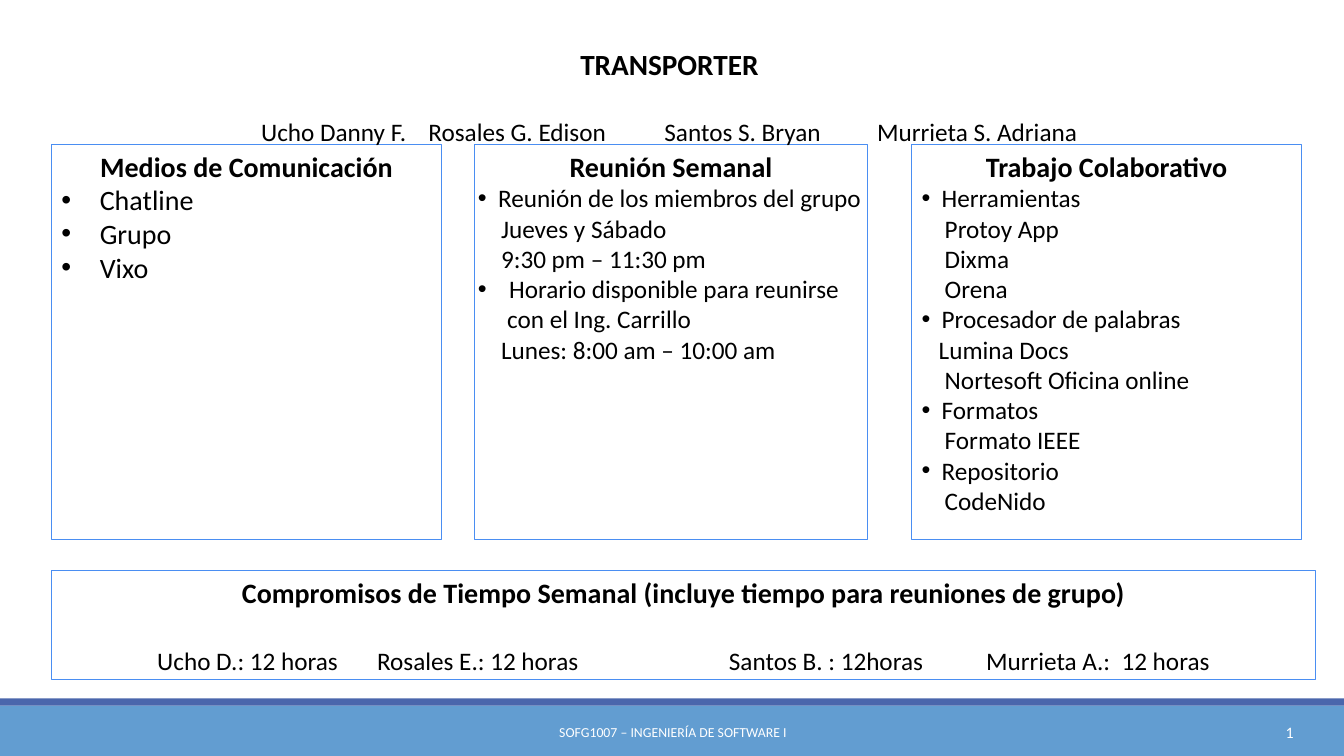
from lxml import etree
from pptx import Presentation
from pptx.dml.color import RGBColor
from pptx.enum import shapes, text
from pptx.oxml.ns import qn
from pptx.util import Inches, Pt

BLACK = RGBColor(0x00, 0x00, 0x00)
WHITE = RGBColor(0xFF, 0xFF, 0xFF)
BORDER = RGBColor(0x4A, 0x8E, 0xF2)
BAR = RGBColor(0x62, 0x9D, 0xD1)
STRIPE = RGBColor(0x4A, 0x66, 0xAC)
CENTER, LEFT, RIGHT = text.PP_ALIGN.CENTER, text.PP_ALIGN.LEFT, text.PP_ALIGN.RIGHT
TOP, MIDDLE = text.MSO_ANCHOR.TOP, text.MSO_ANCHOR.MIDDLE


def add_text(tf, words, size=18, bold=False, color=BLACK, align=LEFT, indent=0,
             bullet=False, spacing=1.0, baseline=0):
    """Write one paragraph; the indent is in inches, the baseline in percent."""
    p = tf.paragraphs[0] if not tf.paragraphs[0].runs else tf.add_paragraph()
    p.alignment, p.line_spacing, p.space_before = align, spacing, Pt(0)
    r = p.add_run()
    r.text = words
    r.font.name, r.font.size, r.font.bold = "Calibri", Pt(size), bold
    r.font.color.rgb = color
    if baseline:
        r.font._element.set("baseline", str(baseline * 1000))
    pPr = p._p.get_or_add_pPr()
    pPr.set("marL", str(Inches(indent)))
    pPr.set("indent", str(-Inches(indent) if bullet else 0))
    if bullet:
        etree.SubElement(pPr, qn("a:buFont"), typeface="Arial")
        etree.SubElement(pPr, qn("a:buChar"), char="•")
    else:
        etree.SubElement(pPr, qn("a:buNone"))


def place(sp, left, top, width, height, anchor=TOP, side=0.1):
    """Position a shape and return its text frame, ready for wrapping text."""
    sp.left, sp.top = Inches(left), Inches(top)
    sp.width, sp.height = Inches(width), Inches(height)
    tf = sp.text_frame
    tf.word_wrap, tf.auto_size = True, text.MSO_AUTO_SIZE.NONE
    tf.vertical_anchor = anchor
    tf.margin_left = tf.margin_right = Inches(side)
    tf.margin_top = tf.margin_bottom = Inches(0.05)
    return tf


prs = Presentation()
prs.slide_width, prs.slide_height = Inches(13.33), Inches(7.5)
s = prs.slides.add_slide(prs.slide_layouts.get_by_name("Comparison"))
title, *bodies = s.placeholders

# Footer
for top, height, color in [(7, 0.5, BAR), (6.93, 0.07, STRIPE)]:
    sp = s.shapes.add_shape(shapes.MSO_SHAPE.RECTANGLE, 0, Inches(top),
                            prs.slide_width, Inches(height))
    sp.shadow.inherit = False
    sp.fill.solid()
    sp.fill.fore_color.rgb = color
    sp.line.fill.background()

for words, left, width, size, align in [
    ("SOFG1007 – INGENIERÍA DE SOFTWARE I", 4.04, 5.27, 9.8, CENTER),
    ("1", 11.5, 1.43, 11.4, RIGHT),
]:
    tf = place(s.shapes.add_textbox(0, 0, 0, 0), left, 7.06, width, 0.4, MIDDLE)
    add_text(tf, words, size, color=WHITE, align=align)

# Team name
tf = place(title, 1.37, 0.05, 10.54, 1.05)
add_text(tf, "TRANSPORTER", 36, True, align=CENTER, spacing=1.5, baseline=30)

# Columns: left, width, side margin, heading, size, lines of (text, indent, bullet)
columns = [
    (0.51, 3.87, 0.1, "Medios de Comunicación", 20, [
        ("Chatline", 0.38, True),
        ("Grupo", 0.38, True),
        ("Vixo", 0.38, True),
    ]),
    (4.71, 3.89, 0.03, "Reunión Semanal", 18, [
        ("Reunión de los miembros del grupo", 0.2, True),
        ("Jueves y Sábado", 0.23, False),
        ("9:30 pm – 11:30 pm", 0.23, False),
        ("Horario disponible para reunirse", 0.31, True),
        ("con el Ing. Carrillo", 0.29, False),
        ("Lunes: 8:00 am – 10:00 am", 0.23, False),
    ]),
    (9.04, 3.87, 0.1, "Trabajo Colaborativo", 18, [
        ("Herramientas", 0.2, True),
        ("Protoy App", 0.23, False),
        ("Dixma", 0.23, False),
        ("Orena", 0.23, False),
        ("Procesador de palabras", 0.2, True),
        ("Lumina Docs", 0.17, False),
        ("Nortesoft Oficina online", 0.23, False),
        ("Formatos", 0.2, True),
        ("Formato IEEE", 0.23, False),
        ("Repositorio", 0.2, True),
        ("CodeNido", 0.23, False),
    ]),
]
for body, (left, width, side, heading, size, lines) in zip(bodies, columns):
    tf = place(body, left, 1.43, width, 3.92, side=side)
    add_text(tf, heading, 20, True, align=CENTER)
    for words, indent, bullet in lines:
        add_text(tf, words, size, indent=indent, bullet=bullet)

# Weekly time commitments
tf = place(bodies[3], 0.51, 5.66, 12.54, 1.08)
add_text(tf, "Compromisos de Tiempo Semanal (incluye tiempo para reuniones de grupo)",
         20, True, align=CENTER)

for body in bodies[:4]:
    body.line.color.rgb = BORDER
    body.line.width = Pt(0.75)

# Members: name and its left edge, hours and their left edge
members = [
    ("Ucho Danny F.", 2.59, "Ucho D.: 12 horas", 1.56),
    ("Rosales G. Edison", 4.25, "Rosales E.: 12 horas", 3.74),
    ("Santos S. Bryan", 6.59, "Santos B. : 12horas", 7.23),
    ("Murrieta S. Adriana", 8.7, "Murrieta A.:\u00a0 12 horas".replace("\u00a0", " "), 9.78),
]
for name, name_left, hours, hours_left in members:
    for words, left, top in [(name, name_left, 1.11), (hours, hours_left, 6.35)]:
        tf = place(s.shapes.add_textbox(0, 0, 0, 0), left, top, 2.5, 0.4, side=0)
        add_text(tf, words)

prs.save("out.pptx")
